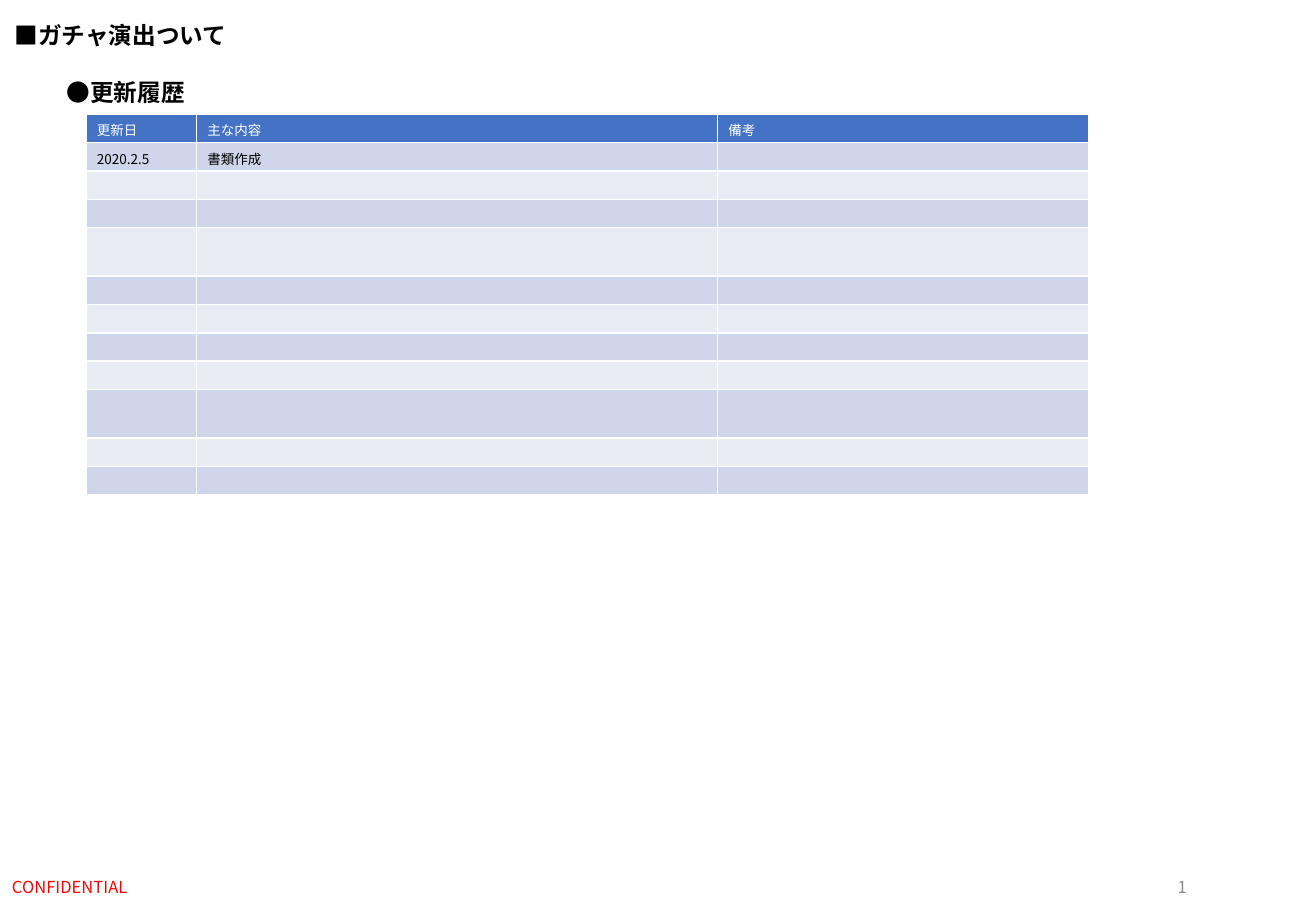
"""Build the update history slide of the gacha presentation document."""
from lxml import etree
from pptx import Presentation
from pptx.dml.color import RGBColor
from pptx.enum import text
from pptx.oxml import ns
from pptx.util import Pt

FONT = "Noto Sans CJK JP"
BLACK = RGBColor(0, 0, 0)
WHITE = RGBColor(255, 255, 255)
RED = RGBColor(255, 0, 0)
GRAY = RGBColor(0x8C, 0x8C, 0x8C)
HEADER_BLUE = RGBColor(0x44, 0x72, 0xC4)
BANDS = (RGBColor(0xE9, 0xEB, 0xF5), RGBColor(0xCF, 0xD5, 0xEA))

TITLE = "■ガチャ演出ついて"
SUBTITLE = "●更新履歴"
CONFIDENTIAL = "CONFIDENTIAL"
PAGE_NUMBER = "1"
HISTORY = [("更新日", "主な内容", "備考"), ("2020.2.5", "書類作成", "")]
ROW_COUNT = 12
TALL_ROWS = (4, 9)
ROW_HEIGHT, TALL_HEIGHT = 16.8, 28.8
COLUMN_WIDTHS = (65.5, 308.9, 220.3)


def style(paragraph, size, color, bold=False):
    font = paragraph.font
    font.name, font.size, font.bold = FONT, Pt(size), bold
    font.color.rgb = color
    defaults = paragraph._p.pPr.find(ns.qn("a:defRPr"))
    defaults.find(ns.qn("a:latin")).addnext(
        etree.Element(ns.qn("a:ea"), typeface=FONT))


def place(box, left, top, width, height):
    box.left, box.top, box.width, box.height = map(Pt, (left, top, width, height))


def write_heading(heading, words):
    frame = heading.text_frame
    frame.text = words
    frame.word_wrap = False
    frame.auto_size = text.MSO_AUTO_SIZE.SHAPE_TO_FIT_TEXT
    frame.vertical_anchor = text.MSO_ANCHOR.TOP
    frame.paragraphs[0].alignment = text.PP_ALIGN.LEFT
    style(frame.paragraphs[0], 14, BLACK, True)


def add_footer(slide, words, left, width, color, alignment):
    footer = slide.shapes.add_textbox(Pt(left), Pt(511.2), Pt(width), Pt(28.8))
    frame = footer.text_frame
    frame.text = words
    frame.word_wrap = True
    frame.vertical_anchor = text.MSO_ANCHOR.MIDDLE
    frame.paragraphs[0].alignment = alignment
    style(frame.paragraphs[0], 9.8, color)


def add_history(slide):
    heights = [TALL_HEIGHT if row in TALL_ROWS else ROW_HEIGHT
               for row in range(ROW_COUNT)]
    history = slide.shapes.add_table(
        ROW_COUNT, len(COLUMN_WIDTHS), Pt(50.9), Pt(67.8),
        Pt(sum(COLUMN_WIDTHS)), Pt(sum(heights))).table
    for column, width in zip(history.columns, COLUMN_WIDTHS):
        column.width = Pt(width)
    for index, (row, height) in enumerate(zip(history.rows, heights)):
        row.height = Pt(height)
        entries = HISTORY[index] if index < len(HISTORY) else ("",) * len(COLUMN_WIDTHS)
        for cell, entry in zip(row.cells, entries):
            cell.text = entry
            cell.margin_left = cell.margin_right = Pt(6.5)
            cell.margin_top, cell.margin_bottom = Pt(3.4), Pt(1.6)
            cell.fill.solid()
            cell.fill.fore_color.rgb = BANDS[index % 2] if index else HEADER_BLUE
            style(cell.text_frame.paragraphs[0], 8, BLACK if index else WHITE)


def main():
    deck = Presentation()
    deck.slide_width, deck.slide_height = Pt(780), Pt(540)
    slide = deck.slides.add_slide(deck.slide_layouts[5])
    title = slide.shapes.title
    place(title, 1.4, 8.6, 141.8, 24.5)
    write_heading(title, TITLE)
    add_footer(slide, CONFIDENTIAL, 0, 243.4, RED, text.PP_ALIGN.LEFT)
    add_footer(slide, PAGE_NUMBER, 548.6, 162, GRAY, text.PP_ALIGN.RIGHT)
    subtitle = slide.shapes.add_textbox(Pt(32.4), Pt(42.5), Pt(85), Pt(24.5))
    write_heading(subtitle, SUBTITLE)
    add_history(slide)
    deck.save("out.pptx")


if __name__ == "__main__":
    main()
